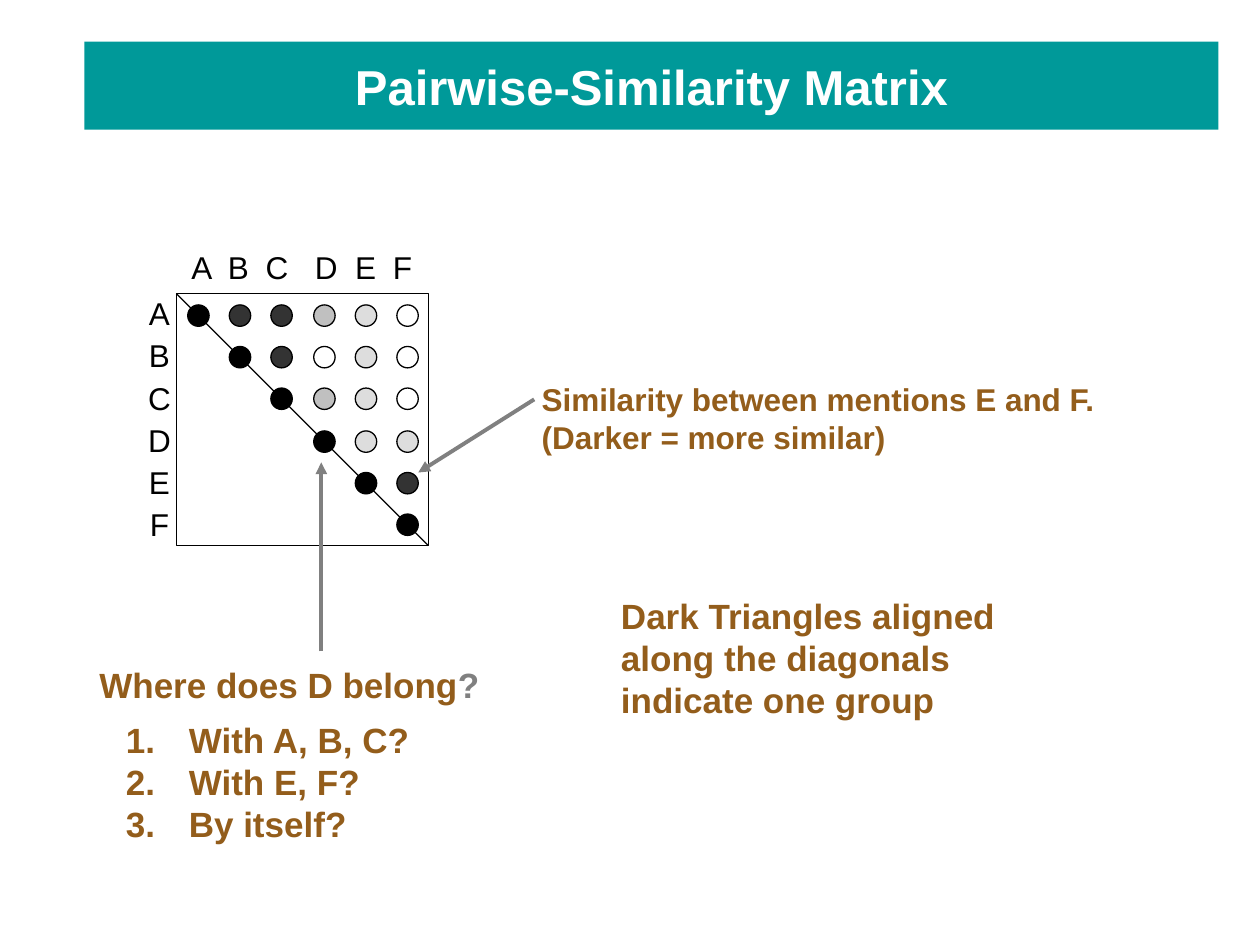
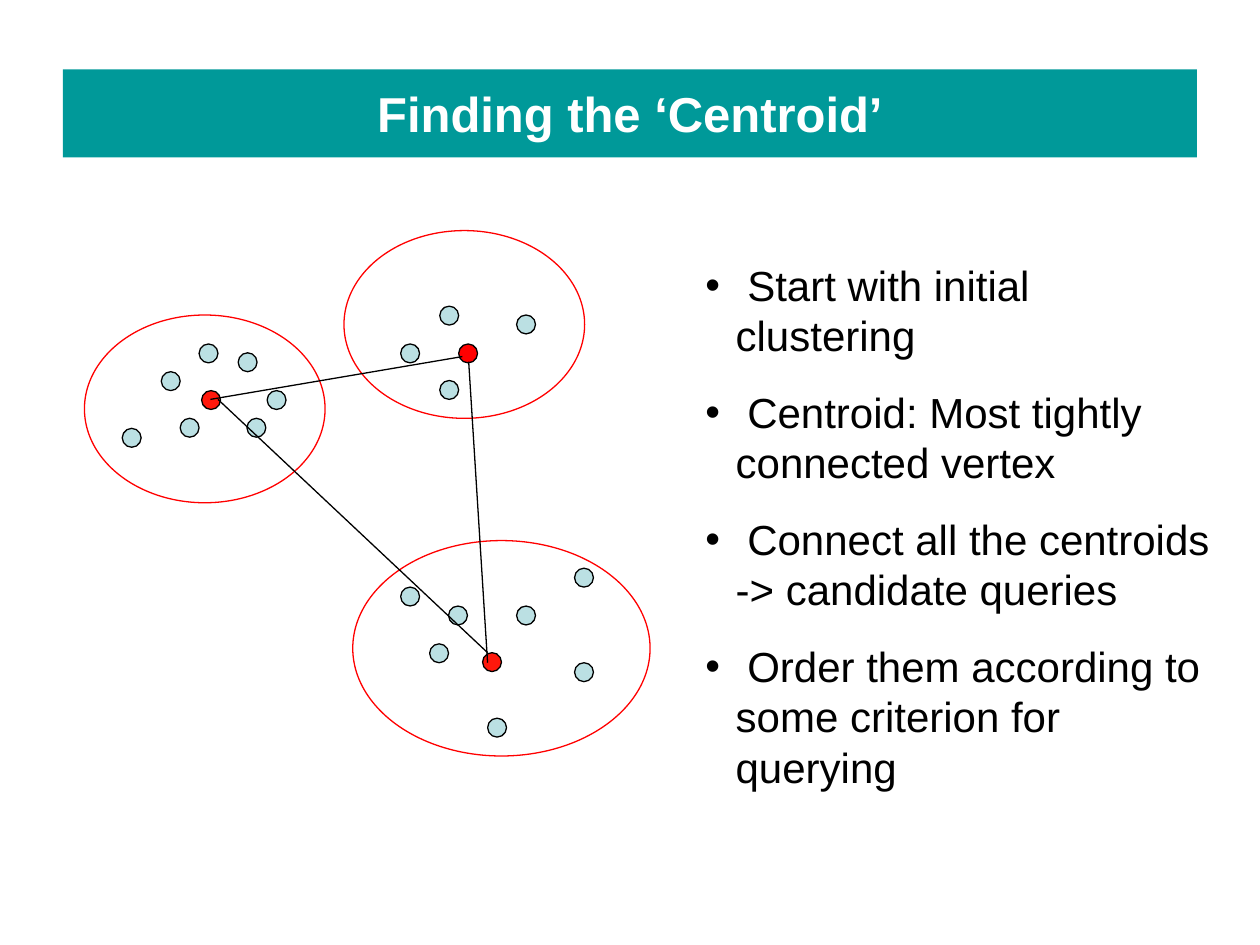
from dataclasses import dataclass
from typing import NamedTuple

from lxml.etree import SubElement as Sub
from pptx import Presentation
from pptx.dml.color import RGBColor as Rgb
from pptx.enum.shapes import MSO_CONNECTOR as Conn, MSO_SHAPE as Kind
from pptx.enum.text import MSO_ANCHOR as Anchor, PP_ALIGN as Align
from pptx.oxml.ns import qn
from pptx.util import Emu, Pt

UNIT = 9144  # 100 px to the inch


@dataclass(frozen=True)
class Theme:
    font: str = "Arial"
    teal: str = "009999"
    brown: str = "935D1B"
    gray: str = "808080"
    black: str = "000000"
    white: str = "FFFFFF"
    red: str = "FF0000"
    core: str = "FF180C"
    pale: str = "BBE0E3"
    title: int = 28
    list: int = 24
    note: int = 20
    label: int = 18
    thin: float = 0.75
    thick: float = 2.25


T = Theme()


class Box(NamedTuple):
    x: int
    y: int
    w: int
    h: int


class Text(NamedTuple):
    box: Box
    lines: tuple[str, ...]
    size: int
    color: str = T.black
    bold: bool = False
    align: Align = Align.LEFT
    gap: float = 0
    lead: float | None = None
    mark: tuple[str, str, str] | None = None  # tag, attribute, value
    hang: int = 0
    tabs: tuple[int, ...] = ()


class Line(NamedTuple):
    x1: int
    y1: int
    x2: int
    y2: int
    color: str = T.black
    width: float = T.thin
    arrow: bool = False


class Group(NamedTuple):
    ring: Box
    hub: tuple[int, int]
    tint: str
    dots: tuple[tuple[int, int], ...]


def px(*nums: int) -> list[Emu]:
    return [Emu(n * UNIT) for n in nums]


def apply(item, form: dict) -> None:
    for key, value in form.items():
        setattr(item, key, value)


def style(run, size: int, color: str, bold: bool = False) -> None:
    apply(run.font, {"name": T.font, "size": Pt(size), "bold": bold})
    run.font.color.rgb = Rgb.from_string(color)


def shape(slide, kind: Kind, box: Box, fill: str | None, edge: str | None):
    item = slide.shapes.add_shape(kind, *px(*box))
    item.shadow.inherit = False
    if fill:
        item.fill.solid()
        item.fill.fore_color.rgb = Rgb.from_string(fill)
    else:
        item.fill.background()
    if edge:
        item.line.color.rgb = Rgb.from_string(edge)
        item.line.width = Pt(T.thin)
    else:
        item.line.fill.background()
    return item


def line(slide, spec: Line) -> None:
    item = slide.shapes.add_connector(Conn.STRAIGHT, *px(*spec[:4]))
    item.line.color.rgb = Rgb.from_string(spec.color)
    item.line.width = Pt(spec.width)
    if spec.arrow:
        Sub(item.line._get_or_add_ln(), qn("a:tailEnd"), type="triangle")
    Sub(item._element.spPr, qn("a:effectLst"))


def text(slide, spec: Text):
    frame = slide.shapes.add_textbox(*px(*spec.box)).text_frame
    frame.word_wrap = True
    for i, words in enumerate(spec.lines):
        para = frame.add_paragraph() if i else frame.paragraphs[0]
        para.text = words
        props = para._p.get_or_add_pPr()
        if spec.mark:
            hang = spec.hang * UNIT
            props.set("marL", str(hang))
            props.set("indent", str(-hang))
            tag, key, value = spec.mark
            Sub(props, qn("a:buFont"), typeface=T.font)
            Sub(props, qn(tag), {key: value})
        if spec.tabs:
            stops = Sub(props, qn("a:tabLst"))
            for stop in spec.tabs:
                Sub(stops, qn("a:tab"), pos=str(stop * UNIT), algn="l")
        form = {"alignment": spec.align, "line_spacing": spec.lead}
        if i:
            form["space_before"] = Pt(spec.gap)
        apply(para, form)
        for run in para.runs:
            style(run, spec.size, spec.color, spec.bold)
    return frame


def banner(slide, x: int, y: int, words: str) -> None:
    frame = shape(slide, Kind.RECTANGLE, Box(x, y, 900, 70), T.teal, None).text_frame
    apply(frame, {"word_wrap": True, "vertical_anchor": Anchor.MIDDLE})
    para = frame.paragraphs[0]
    para.alignment = Align.CENTER
    run = para.add_run()
    run.text = words
    style(run, T.title, T.white, True)


# Matrix: each row runs from the diagonal to column F
SHADES = {"K": T.black, "D": "333333", "G": "C0C0C0", "L": "DDDDDD", "W": T.white}
ROWS = ("KDDGLW", "KDWLW", "KGLW", "KLL", "KD", "K")
NAMES = tuple("ABCDEF")


def matrix(slide) -> None:
    text(slide, Text(Box(142, 192, 200, 40), ("\t".join(NAMES),), T.label,
                     tabs=(29, 59, 98, 130, 160)))
    text(slide, Text(Box(102, 238, 49, 197), NAMES, T.label,
                     align=Align.CENTER, gap=10.1, lead=0.65))
    shape(slide, Kind.RECTANGLE, Box(140, 233, 200, 200), None, T.black)
    line(slide, Line(140, 233, 340, 433))
    for row, tones in enumerate(ROWS):
        for col, tone in enumerate(tones, row):
            spot = Box(149 + col * 100 // 3, 242 + row * 100 // 3, 17, 17)
            shape(slide, Kind.OVAL, spot, SHADES[tone], T.black)


def pairs(slide) -> None:
    banner(slide, 67, 33, "Pairwise-Similarity Matrix")
    matrix(slide)
    # Notes and their arrows
    bold = {"color": T.brown, "bold": True}
    text(slide, Text(
        Box(420, 297, 480, 70),
        ("Similarity between mentions E and F.\v(Darker = more similar)",),
        T.label, **bold))
    ask = text(slide, Text(Box(69, 522, 350, 44), ("Where does D belong",),
                           T.note, **bold))
    tail = ask.paragraphs[0].add_run()
    tail.text = "?"
    style(tail, T.note, T.gray, True)
    text(slide, Text(
        Box(90, 565, 292, 110), ("With A, B, C?", "With E, F?", "By itself?"),
        T.note, mark=("a:buAutoNum", "type", "arabicPeriod"), hang=50, **bold))
    text(slide, Text(
        Box(483, 467, 325, 110),
        ("Dark Triangles aligned along the diagonals indicate one group",),
        T.note, **bold))
    for ends in ((424, 317, 332, 375), (255, 517, 255, 367)):
        line(slide, Line(*ends, T.gray, T.thick, True))


# Clusters: ring, centroid and members
GROUPS = (
    Group(Box(67, 250, 191, 149), (160, 310), T.core,
          ((189, 280), (158, 273), (128, 295), (212, 310), (143, 332),
           (97, 340), (196, 332))),
    Group(Box(273, 183, 191, 149), (364, 273), T.red,
          ((318, 273), (349, 302), (349, 243), (410, 250))),
    Group(Box(280, 429, 236, 171), (383, 518), T.core,
          ((456, 526), (456, 451), (318, 466), (387, 570), (410, 481),
           (341, 511), (356, 481))),
)
LINKS = (Line(173, 317, 387, 518), Line(372, 287, 387, 526),
         Line(167, 317, 367, 283))
STEPS = (
    " Start with initial clustering",
    " Centroid: Most tightly connected vertex",
    " Connect all the centroids -> candidate queries",
    " Order them according to some criterion for querying",
)


def center(slide) -> None:
    banner(slide, 50, 55, "Finding the ‘Centroid’")
    text(slide, Text(Box(550, 201, 425, 353), STEPS, T.list, gap=15,
                     mark=("a:buChar", "char", "•"), hang=24))
    for group in GROUPS:
        for spot in group.dots:
            shape(slide, Kind.OVAL, Box(*spot, 15, 15), T.pale, T.black)
        shape(slide, Kind.OVAL, Box(*group.hub, 15, 15), group.tint, T.black)
        shape(slide, Kind.OVAL, group.ring, None, T.red)
    for link in LINKS:
        line(slide, link)


def main() -> None:
    deck = Presentation()
    deck.slide_width, deck.slide_height = px(1000, 750)
    for draw in (pairs, center):
        draw(deck.slides.add_slide(deck.slide_layouts[6]))
    deck.save("out.pptx")


if __name__ == "__main__":
    main()
